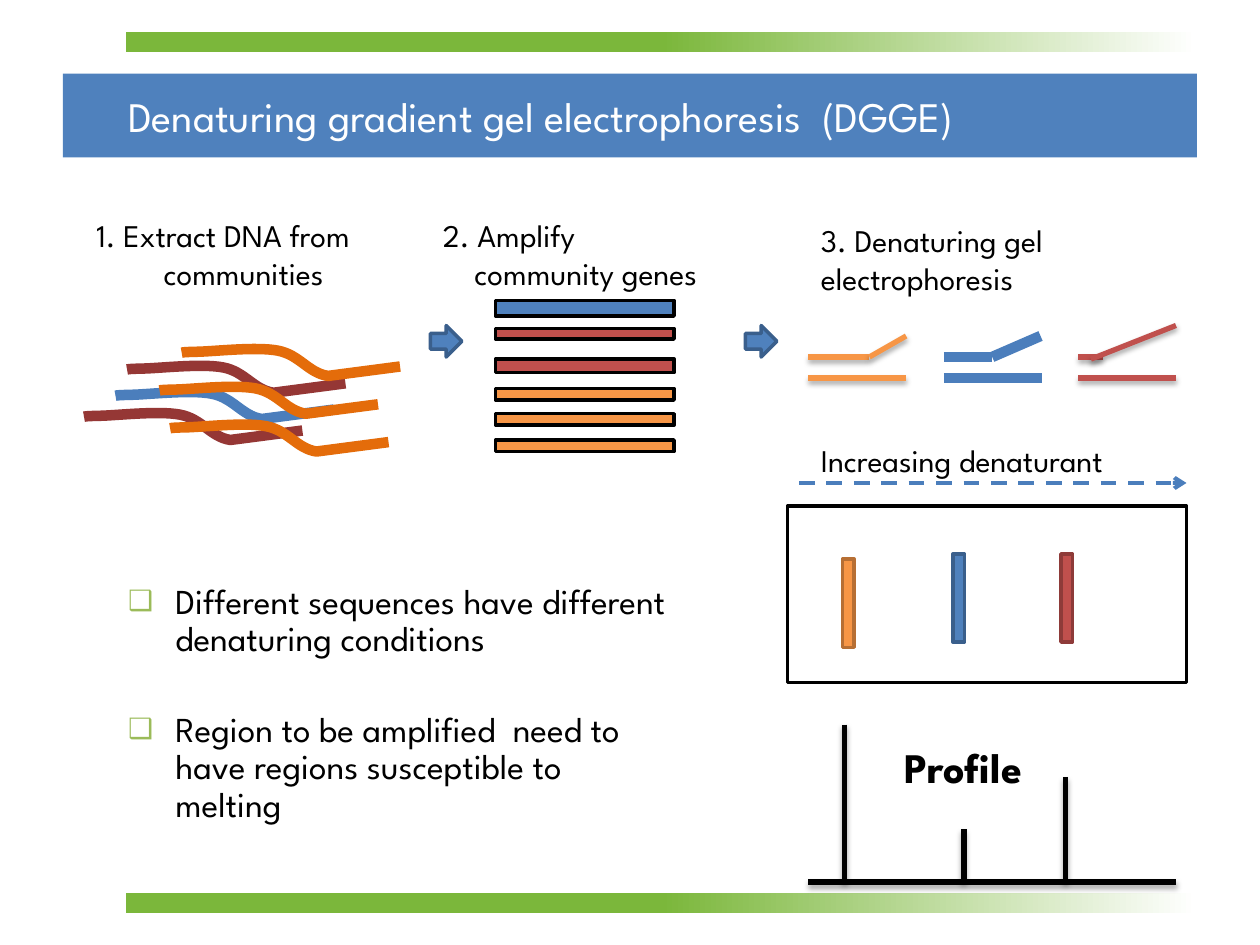
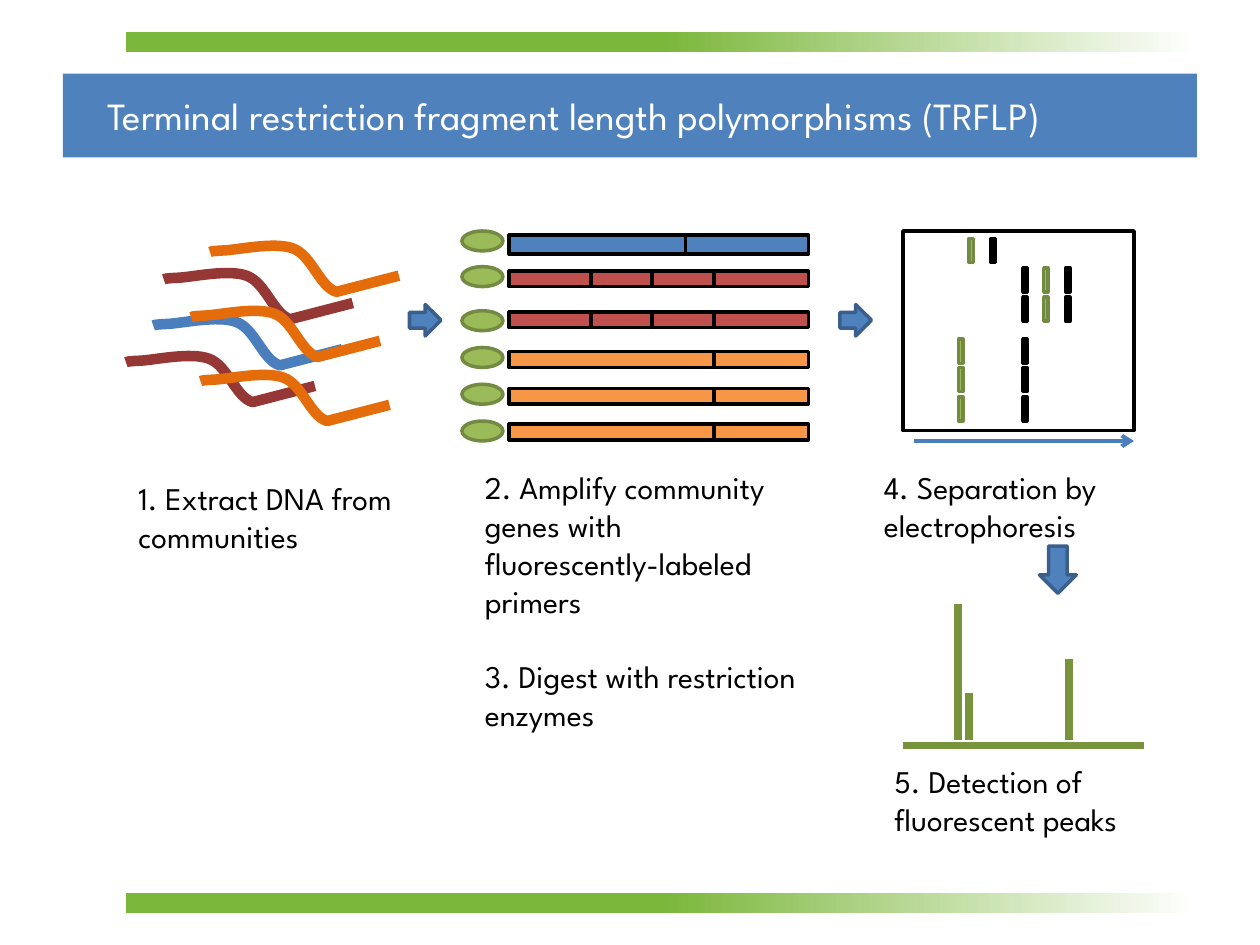
"""Build two slides on DNA profiling methods, DGGE and TRFLP."""
from lxml import etree
from pptx import Presentation
from pptx.dml.color import RGBColor
from pptx.enum.dml import MSO_LINE
from pptx.enum.shapes import MSO_CONNECTOR, MSO_SHAPE
from pptx.enum.text import MSO_ANCHOR, MSO_AUTO_SIZE, PP_ALIGN
from pptx.oxml.ns import qn
from pptx.util import Emu, Pt

PX = 7620
FONT = "League Spartan"
RECT, OVAL, RIGHT = MSO_SHAPE.RECTANGLE, MSO_SHAPE.OVAL, MSO_SHAPE.RIGHT_ARROW
STRAIGHT, DASH = MSO_CONNECTOR.STRAIGHT, MSO_LINE.DASH
MIDDLE, NO_FIT, LEFT = MSO_ANCHOR.MIDDLE, MSO_AUTO_SIZE.NONE, PP_ALIGN.LEFT
FULL, TITLED = 1, 5
COLORS = {
    "black": "000000", "white": "FFFFFF", "band": "7BB73B",
    "blue": "4F81BD", "navy": "3A5F8C", "sky": "4B7EBC",
    "red": "C0504D", "wine": "8E3B39", "brick": "953735",
    "orange": "F79646", "brown": "B76F34", "rust": "E46C0A",
    "green": "9BBB59", "moss": "738A42", "peak": "77933C",
}
HULL = [(0, .21), (.34, 0), (.67, 1), (1, .68)]
STRAND = [
    ("moveTo", [(0, .21)]),
    ("cubicBezTo", [(0, .21), (0, .19), (.07, .18)]),
    ("cubicBezTo", [(.15, .17), (.34, 0), (.44, .14)]),
    ("cubicBezTo", [(.54, .28), (.58, .9), (.67, 1)]),
    ("lnTo", [(1, .68)]),
    ("lnTo", [(1, .68)]),
]
TINTS = ["brick", "sky", "brick", "rust", "rust", "rust"]


def px(*sizes):
    """Turn px lengths into EMU."""
    return [Emu(round(size * PX)) for size in sizes]


def color(name):
    """Look up a named colour."""
    return RGBColor.from_string(COLORS[name])


class Deck:
    """Hold the style and the current slide."""

    def __init__(self):
        """Start a deck of 1200 by 900 px."""
        self.file = Presentation()
        self.file.slide_width, self.file.slide_height = px(1200, 900)
        self.slide = None

    def page(self, layout, title, size, left, width):
        """Add a slide with its title."""
        self.slide = self.file.slides.add_slide(self.file.slide_layouts[layout])
        head = self.slide.shapes.title
        self.place(head, left, 70, width, 80)
        head.text_frame.text = title
        head.text_frame.vertical_anchor = MIDDLE
        self.style(head.text_frame, size, "white")

    def bands(self):
        """Move the title bar and the two green bands to the master."""
        bar = self.shape(RECT, 60, 70, 1080, 80, "blue")
        strips = [self.shape(RECT, 120, top, 1020, 20, "band") for top in (30, 850)]
        for strip in strips:
            strip.fill.gradient()
            strip.fill.gradient_angle = 0
            for stop, place, name in zip(strip.fill.gradient_stops, (.5, 1), ("band", "white")):
                stop.position = place
                stop.color.rgb = color(name)
        tree = self.file.slide_master.shapes.element
        for number, item in enumerate([*reversed(strips), bar], 101):
            item.element.nvSpPr.cNvPr.set("id", str(number))
            tree.insert(2, item.element)

    def place(self, item, left, top, width, height):
        """Set the box of an item."""
        item.left, item.top, item.width, item.height = px(left, top, width, height)

    def style(self, frame, size, name="black", bold=False):
        """Format all text in a frame."""
        frame.word_wrap = True
        frame.auto_size = NO_FIT
        for para in frame.paragraphs:
            para.alignment = LEFT
            for run in para.runs:
                run.font.name, run.font.size, run.font.bold = FONT, Pt(size), bold
                run.font.color.rgb = color(name)

    def shape(self, kind, left, top, width, height, fill=None, edge=None, turn=0):
        """Add a preset shape."""
        item = self.slide.shapes.add_shape(kind, *px(left, top, width, height))
        item.rotation = turn
        item.shadow.inherit = False
        if fill:
            item.fill.solid()
            item.fill.fore_color.rgb = color(fill)
        else:
            item.fill.background()
        if edge:
            item.line.color.rgb = color(edge)
            item.line.width = Pt(2)
        else:
            item.line.fill.background()
        return item

    def text(self, left, top, width, height, words, size=18, bold=False):
        """Add a text box."""
        box = self.slide.shapes.add_textbox(*px(left, top, width, height))
        box.text_frame.text = words
        self.style(box.text_frame, size, bold=bold)
        return box.text_frame

    def indent(self, para, left, first=0):
        """Indent a paragraph and return its properties."""
        props = para._p.get_or_add_pPr()
        props.set("marL", str(left * PX))
        props.set("indent", str(first * PX))
        return props

    def bullets(self, left, top, width, height, lines):
        """Fill the body with a list of box bullets."""
        body = self.slide.placeholders[1]
        self.place(body, left, top, width, height)
        body.text_frame.text = "\n".join(lines)
        self.style(body.text_frame, 20)
        for index, para in enumerate(body.text_frame.paragraphs):
            para.line_spacing = .9
            para.space_before = Pt(30 if index else 4)
            props = self.indent(para, 45, -45)
            tint = etree.SubElement(props, qn("a:buClr"))
            etree.SubElement(tint, qn("a:srgbClr"), val=COLORS["green"])
            etree.SubElement(props, qn("a:buSzPct"), val="80000")
            etree.SubElement(props, qn("a:buChar"), char="❑")

    def line(self, ends, name, width, shade=False, arrow=False, dash=False):
        """Add a straight line, with a shadow or an arrowhead on request."""
        item = self.slide.shapes.add_connector(STRAIGHT, *px(*ends))
        item.line.color.rgb = color(name)
        item.line.width = Pt(width)
        if dash:
            item.line.dash_style = DASH
        props = item.element.spPr
        if arrow:
            etree.SubElement(props.get_or_add_ln(), qn("a:tailEnd"), type="arrow")
        effects = etree.SubElement(props, qn("a:effectLst"))
        if shade:
            cast = etree.SubElement(effects, qn("a:outerShdw"), blurRad=str(Pt(3.1)),
                                    dist=str(Pt(1.8)), dir="5400000", rotWithShape="0")
            tint = etree.SubElement(cast, qn("a:srgbClr"), val=COLORS["black"])
            etree.SubElement(tint, qn("a:alpha"), val="35000")

    def strands(self, spots, width, height):
        """Draw one wavy DNA strand at each spot."""
        for (left, top), tint in zip(spots, TINTS):
            points = [px(left + x * width, top + y * height) for x, y in HULL]
            draft = self.slide.shapes.build_freeform(*points[0], scale=1.0)
            draft.add_line_segments(points[1:], close=False)
            item = draft.convert_to_shape()
            self.curve(item, width, height)
            item.shadow.inherit = False
            item.fill.background()
            item.line.color.rgb = color(tint)
            item.line.width = Pt(6)

    def curve(self, item, width, height):
        """Give a freeform the smooth outline of a strand."""
        outline = next(item.element.iter(qn("a:path")))
        for step in list(outline):
            outline.remove(step)
        for name, points in STRAND:
            step = etree.SubElement(outline, qn("a:" + name))
            for x, y in points:
                across, down = px(x * width, y * height)
                etree.SubElement(step, qn("a:pt"), x=str(across), y=str(down))

    def arrows(self, top, lefts):
        """Add small block arrows in a row."""
        for left in lefts:
            self.shape(RIGHT, left, top, 30, 30, "blue", "navy")


def draw_dgge(deck):
    """Draw the gradient gel slide."""
    deck.page(FULL, "Denaturing gradient gel electrophoresis  (DGGE)", 24, 110, 1030)
    deck.bands()
    deck.bullets(110, 550, 540, 255, [
        "Different sequences have different denaturing conditions",
        "Region to be amplified  need to have regions susceptible to melting"])

    genes = [(286, 15, "blue"), (313, 10, "red"), (342, 13, "red"),
             (370, 11, "orange"), (394, 11, "orange"), (419, 11, "orange")]
    for top, height, fill in genes:
        deck.shape(RECT, 472, top, 170, height, fill, "black")
    deck.strands([(121, 346), (110, 371), (80, 391), (173, 330), (162, 402), (152, 366)], 208, 28)

    first = deck.text(80, 200, 281, 121, "1. Extract DNA from communities")
    deck.indent(first.paragraphs[0], 64, -64)
    second = deck.text(410, 200, 340, 85, "2. Amplify\ncommunity genes")
    deck.indent(second.paragraphs[1], 30)
    deck.text(770, 205, 360, 85, "3. Denaturing gel electrophoresis")
    deck.text(770, 414, 362, 48, "Increasing denaturant")

    deck.shape(RECT, 856, 376, 168, 380, "white", "black", 270)
    deck.line((761, 460, 1130, 460), "sky", 2.25, arrow=True, dash=True)
    for left, top, fill, edge in [(766, 569, "orange", "brown"),
                                  (871, 564, "blue", "navy"), (974, 564, "red", "wine")]:
        deck.shape(RECT, left, top, 84, 11, fill, edge, 270)

    deck.line((770, 840, 1120, 840), "black", 3, shade=True)
    for x, top in [(918, 790), (804, 690), (1015, 740)]:
        deck.line((x, top, x, 840), "black", 3, shade=True)
    profile = deck.text(850, 700, 142, 60, "Profile", 24, True)
    profile.word_wrap = False

    forks = [(770, 828, (828, 340, 863, 320), "orange", 3),
             (899, 945, (945, 340, 991, 320), "sky", 6),
             (1027, 1050, (1039, 342, 1120, 310), "red", 3)]
    for left, bend, branch, tint, width in forks:
        for ends in [(left, 360, left + 93, 360), (left, 340, bend, 340), branch]:
            deck.line(ends, tint, width, shade=width == 3)
    deck.arrows(310, (410, 710))


def draw_trflp(deck):
    """Draw the restriction fragment slide."""
    deck.page(TITLED, "Terminal restriction fragment length polymorphisms (TRFLP)", 22, 90, 1050)
    deck.line((870, 420, 1080, 420), "sky", 2.25, arrow=True)

    cuts = {"blue": [485, 653, 770], "red": [485, 563, 621, 680, 770],
            "orange": [485, 680, 770]}
    genes = [(220, 224, 18, "blue"), (254, 258, 15, "red"), (296, 297, 15, "red"),
             (331, 335, 15, "orange"), (366, 370, 15, "orange"), (401, 404, 15, "orange")]
    for label, top, height, fill in genes:
        deck.shape(OVAL, 440, label, 39, 19, "green", "moss")
        for left, right in zip(cuts[fill], cuts[fill][1:]):
            deck.shape(RECT, left, top, right - left, height, fill, "black")

    deck.line((860, 710, 1090, 710), "peak", 4.5)
    for x, top in [(912, 575), (923, 660), (1018, 628)]:
        deck.line((x, 705, x, top), "peak", 4.5)

    steps = deck.text(450, 440, 320, 266,
                      "2. Amplify community genes with fluorescently-labeled primers\n"
                      "3. Digest with restriction enzymes")
    steps.paragraphs[1].space_before = Pt(21.5)
    deck.text(830, 440, 300, 85, "4. Separation by electrophoresis")
    deck.text(840, 720, 270, 121, "5. Detection of fluorescent peaks")
    deck.text(120, 450, 270, 121, "1. Extract DNA from communities")
    deck.strands([(156, 256), (146, 300), (120, 335), (200, 230), (191, 353), (182, 292)], 180, 48)

    lanes = [((227,), (923,), (944,)), ((255, 283), (994,), (974, 1015)),
             ((323, 350, 378), (913,), (974,))]
    for tops, greens, blacks in lanes:
        for top in tops:
            for left in greens:
                deck.shape(RECT, left, top, 4, 23, "green", "moss")
            for left in blacks:
                deck.shape(RECT, left, top, 4, 23, "black", "black")
    deck.shape(RECT, 860, 220, 220, 190, edge="black")
    deck.arrows(290, (800, 390))
    deck.shape(RIGHT, 985, 525, 45, 35, "blue", "navy", 90)


def main():
    """Build and save the deck."""
    deck = Deck()
    draw_dgge(deck)
    draw_trflp(deck)
    deck.file.save("out.pptx")


if __name__ == "__main__":
    main()
